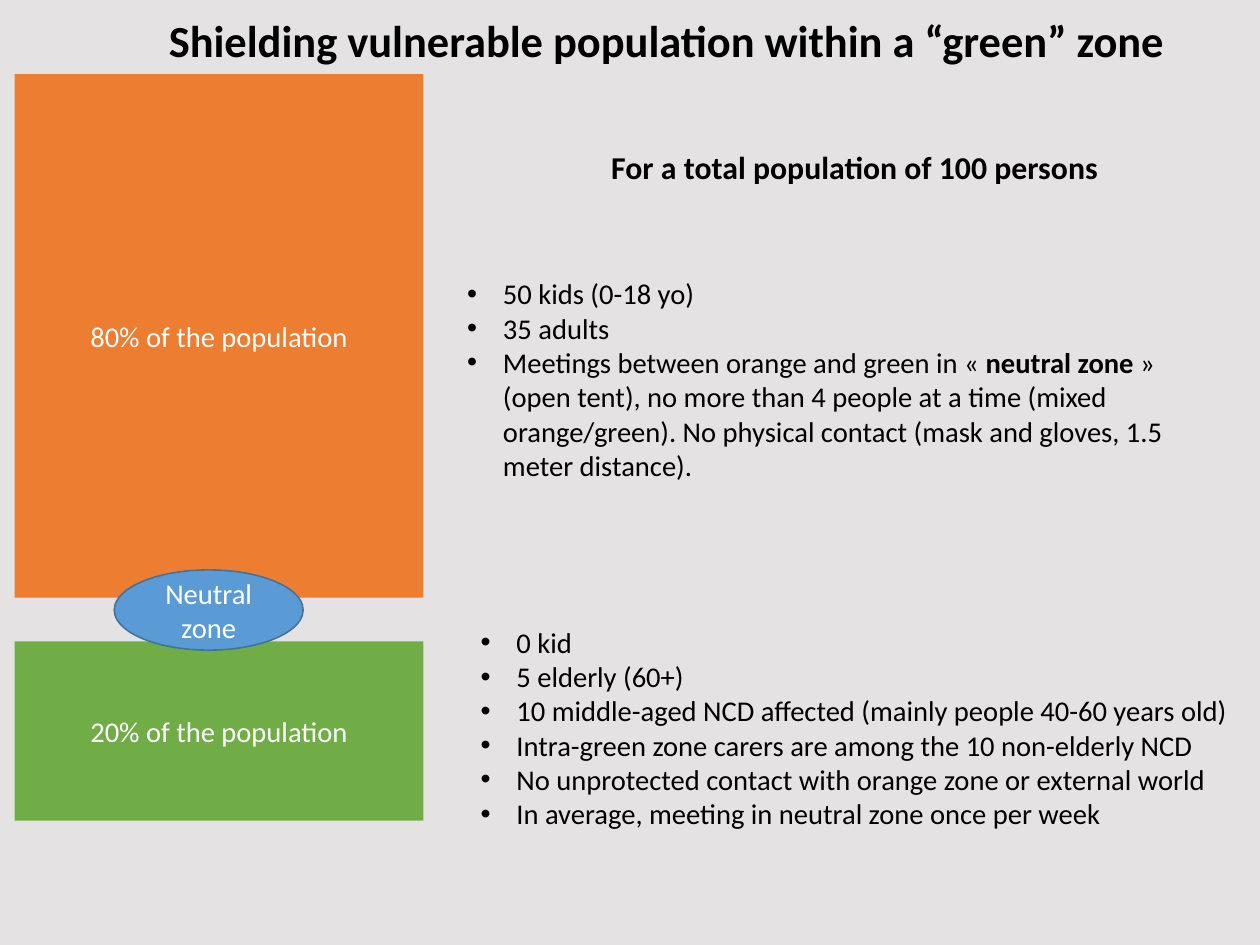
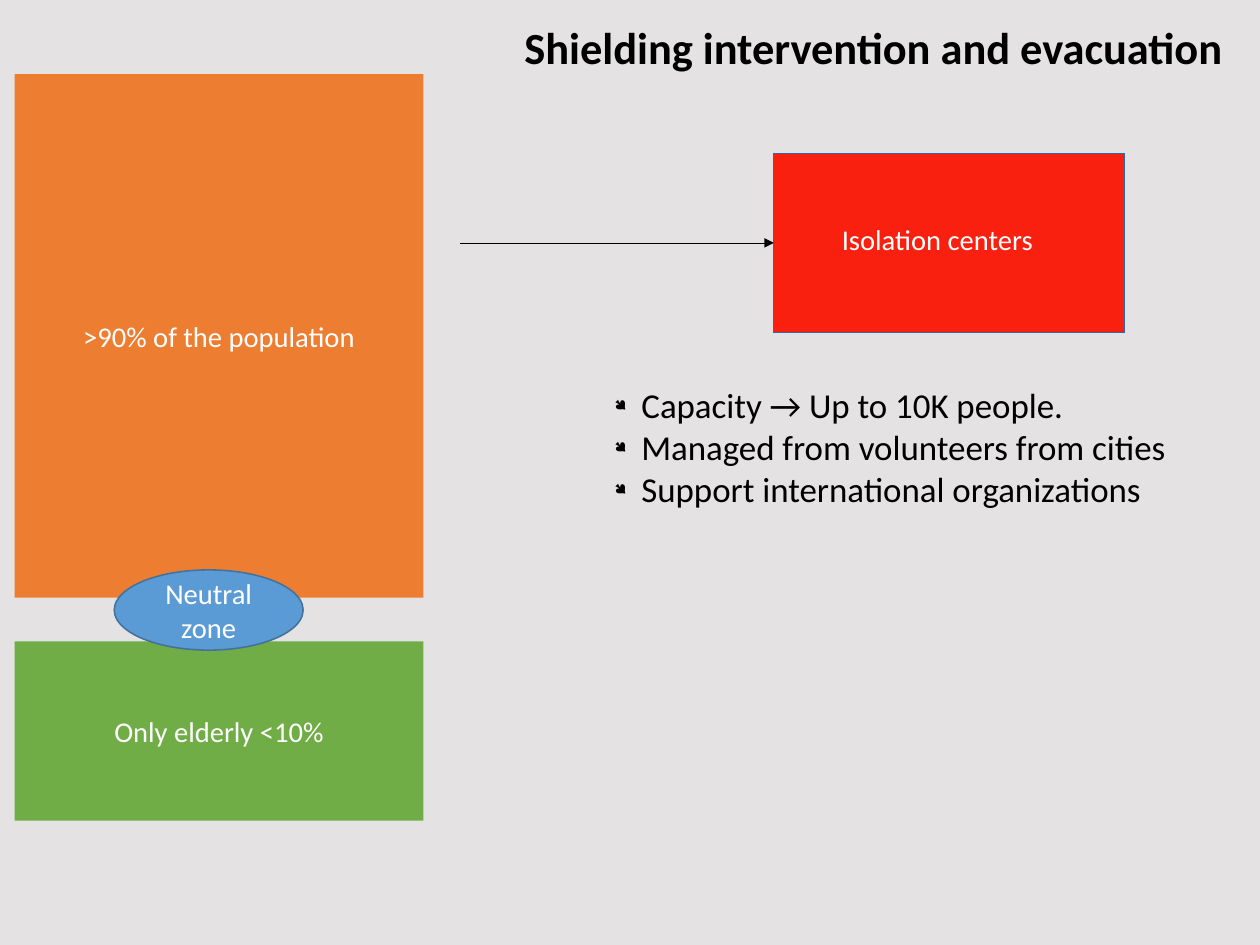
from pptx import Presentation
from pptx.dml.color import RGBColor
from pptx.enum.shapes import MSO_CONNECTOR, MSO_SHAPE
from pptx.enum.text import MSO_ANCHOR, MSO_AUTO_SIZE, PP_ALIGN
from pptx.oxml.ns import qn
from pptx.util import Emu, Pt
from lxml import etree

RECTANGLE, ELLIPSE = MSO_SHAPE.RECTANGLE, MSO_SHAPE.OVAL
STRAIGHT = MSO_CONNECTOR.STRAIGHT
MIDDLE, CENTER, LEFT = MSO_ANCHOR.MIDDLE, PP_ALIGN.CENTER, PP_ALIGN.LEFT
GROW = MSO_AUTO_SIZE.SHAPE_TO_FIT_TEXT
LEFT_SIDE = 1

# Shared look; 288 px to the inch
EMU_PER_PX = 3175
PAGE_WIDTH, PAGE_HEIGHT = 3175, 2381
FONT = "Calibri"
BACKGROUND, BLACK, WHITE = "E4E2E2", "000000", "FFFFFF"
ORANGE, GREEN, RED = "ED7D31", "70AD47", "F9200F"
BLUE, BLUE_EDGE, RED_EDGE = "5B9BD5", "43729D", "3465A4"

BODY = {"size": Pt(18), "bold": False}
LARGE_BODY = {"size": Pt(22), "bold": False}
HEADING = {"size": Pt(20), "bold": True}
TITLE = {"size": Pt(28), "bold": True}

# Bullet styles: character, font, indent in px, size in percent of the text
DOT = ("•", "Arial", 90, 100)
SMALL_DOT = ("●", "Wingdings", 68, 45)


def px(length):
    return Emu(length * EMU_PER_PX)


def color(code):
    return RGBColor.from_string(code)


def write_para(para, spans, style, ink, align=LEFT):
    """Fill a paragraph; spans is a string or a list of (text, bold)."""
    para.alignment = align
    if isinstance(spans, str):
        spans = [(spans, style["bold"])]
    for text, bold in spans:
        span = para.add_run()
        span.text = text
        span.font.color.rgb = color(ink)
        for name, value in {**style, "name": FONT, "bold": bold}.items():
            setattr(span.font, name, value)


def set_bullet(para, bullet):
    character, font, indent, percent = bullet
    properties = para._p.get_or_add_pPr()
    properties.set("marL", str(px(indent)))
    properties.set("indent", str(-px(indent)))
    bullet_color = etree.SubElement(properties, qn("a:buClr"))
    etree.SubElement(bullet_color, qn("a:srgbClr"), val=BLACK)
    etree.SubElement(properties, qn("a:buSzPct"), val=str(percent * 1000))
    etree.SubElement(properties, qn("a:buFont"), typeface=font)
    etree.SubElement(properties, qn("a:buChar"), char=character)


def set_line(line, code, width):
    """Colour a line; a width of 0 is a hairline and has to be written out."""
    line.color.rgb = color(code)
    line._get_or_add_ln().set("w", str(Pt(width)))


def add_text(page, place, paras, style, ink=BLACK, bullet=None, wrap=True):
    box = page.shapes.add_textbox(*map(px, place))
    frame = box.text_frame
    frame.word_wrap = wrap
    frame.auto_size = GROW
    for index, spans in enumerate(paras):
        para = frame.add_paragraph() if index else frame.paragraphs[0]
        write_para(para, spans, style, ink)
        if bullet:
            set_bullet(para, bullet)


def add_block(page, kind, place, fill, label="", edge=None, edge_width=0):
    block = page.shapes.add_shape(kind, *map(px, place))
    block.shadow.inherit = False
    block.fill.solid()
    block.fill.fore_color.rgb = color(fill)
    if edge:
        set_line(block.line, edge, edge_width)
    else:
        block.line.fill.background()
    if label:
        block.text_frame.word_wrap = True
        block.text_frame.vertical_anchor = MIDDLE
        write_para(block.text_frame.paragraphs[0], label, BODY, WHITE, CENTER)
    return block


def add_arrow(page, start, end, target):
    arrow = page.shapes.add_connector(STRAIGHT, *map(px, start + end))
    arrow.end_connect(target, LEFT_SIDE)
    set_line(arrow.line, BLACK, 0)
    etree.SubElement(arrow.line._get_or_add_ln(), qn("a:tailEnd"), type="triangle")
    etree.SubElement(arrow._element.spPr, qn("a:effectLst"))


def add_zones(page, orange_label, green_label):
    """Stacked population zones with the neutral zone between them."""
    add_block(page, RECTANGLE, (37, 187, 1030, 1319), ORANGE, orange_label)
    add_block(page, RECTANGLE, (37, 1616, 1030, 452), GREEN, green_label)
    add_block(page, ELLIPSE, (288, 1436, 476, 202), BLUE, "Neutral zone", BLUE_EDGE, 1)


def build_green_zone(page):
    add_zones(page, "80% of the population", "20% of the population")
    # Who lives in each zone
    add_text(page, (1149, 682, 1973, 806), [
        "50 kids (0-18 yo)",
        "35 adults",
        [("Meetings between orange and green in « ", False),
         ("neutral zone", True),
         (" » (open tent), no more than 4 people at a time (mixed orange/green). "
          "No physical contact (mask and gloves, 1.5 meter distance).", False)],
    ], BODY, bullet=DOT)
    add_text(page, (1183, 1560, 1973, 547), [
        "0 kid",
        "5 elderly (60+)",
        "10 middle-aged NCD affected (mainly people 40-60 years old)",
        "Intra-green zone carers are among the 10 non-elderly NCD",
        "No unprotected contact with orange zone or external world",
        "In average, meeting in neutral zone once per week",
    ], BODY, bullet=DOT)
    # Headings
    add_text(page, (1512, 359, 1284, 124),
             ["For a total population of 100 persons"], HEADING, wrap=False)
    add_text(page, (397, 19, 2598, 253),
             ["Shielding vulnerable population within a “green” zone"], TITLE)


def build_evacuation(page):
    add_zones(page, ">90% of the population", "Only elderly <10%")
    add_text(page, (1293, 36, 1830, 164),
             ["Shielding intervention and evacuation"], TITLE)
    # Evacuation route to the isolation centers
    add_text(page, (1520, 953, 1904, 348), [
        "Capacity → Up to 10K people.",
        "Managed from volunteers from cities",
        "Support international organizations",
    ], LARGE_BODY, bullet=SMALL_DOT)
    centers = add_block(page, RECTANGLE, (1950, 386, 884, 452), RED, edge=RED_EDGE)
    add_arrow(page, (1158, 612), (1950, 612), centers)
    add_text(page, (2093, 544, 743, 115), ["Isolation centers"], BODY, WHITE)


def main():
    deck = Presentation()
    deck.slide_width, deck.slide_height = px(PAGE_WIDTH), px(PAGE_HEIGHT)
    backdrop = deck.slide_master.background.fill
    backdrop.solid()
    backdrop.fore_color.rgb = color(BACKGROUND)
    blank = deck.slide_layouts[6]
    for build in (build_green_zone, build_evacuation):
        build(deck.slides.add_slide(blank))
    deck.save("out.pptx")


if __name__ == "__main__":
    main()
